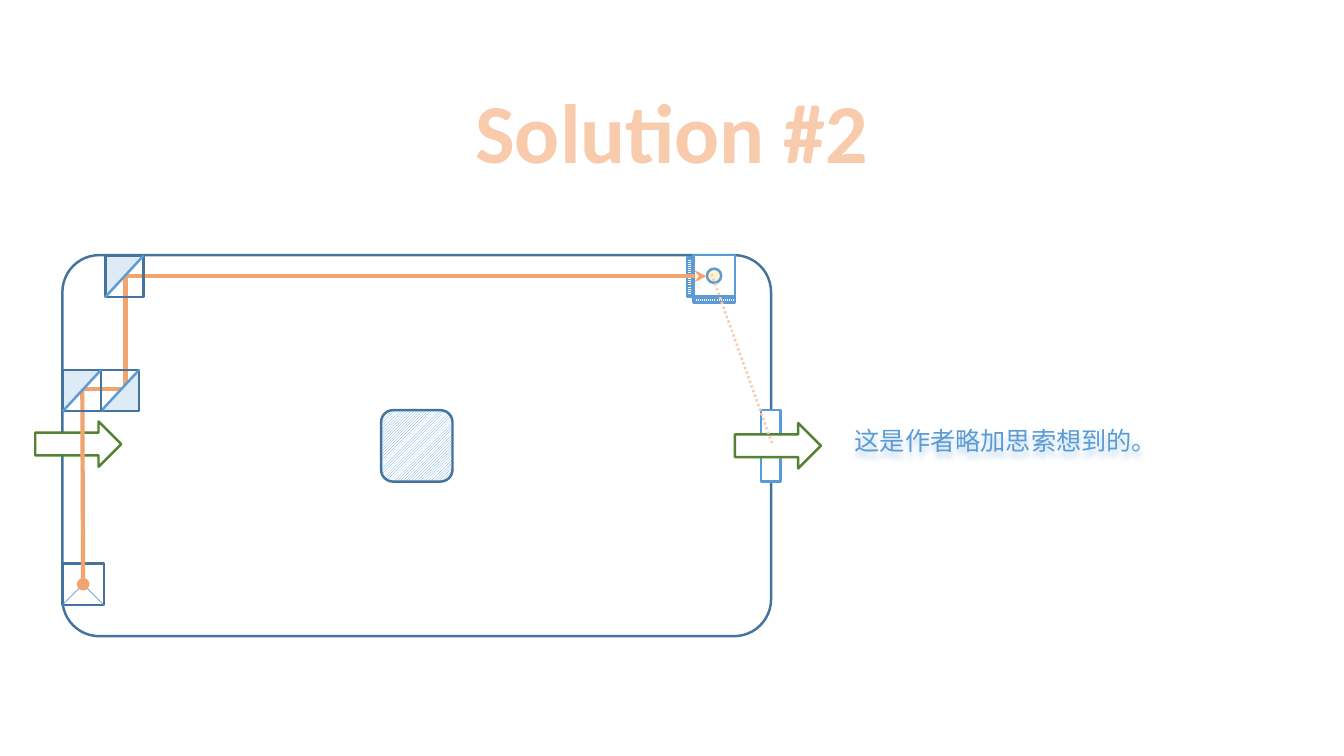
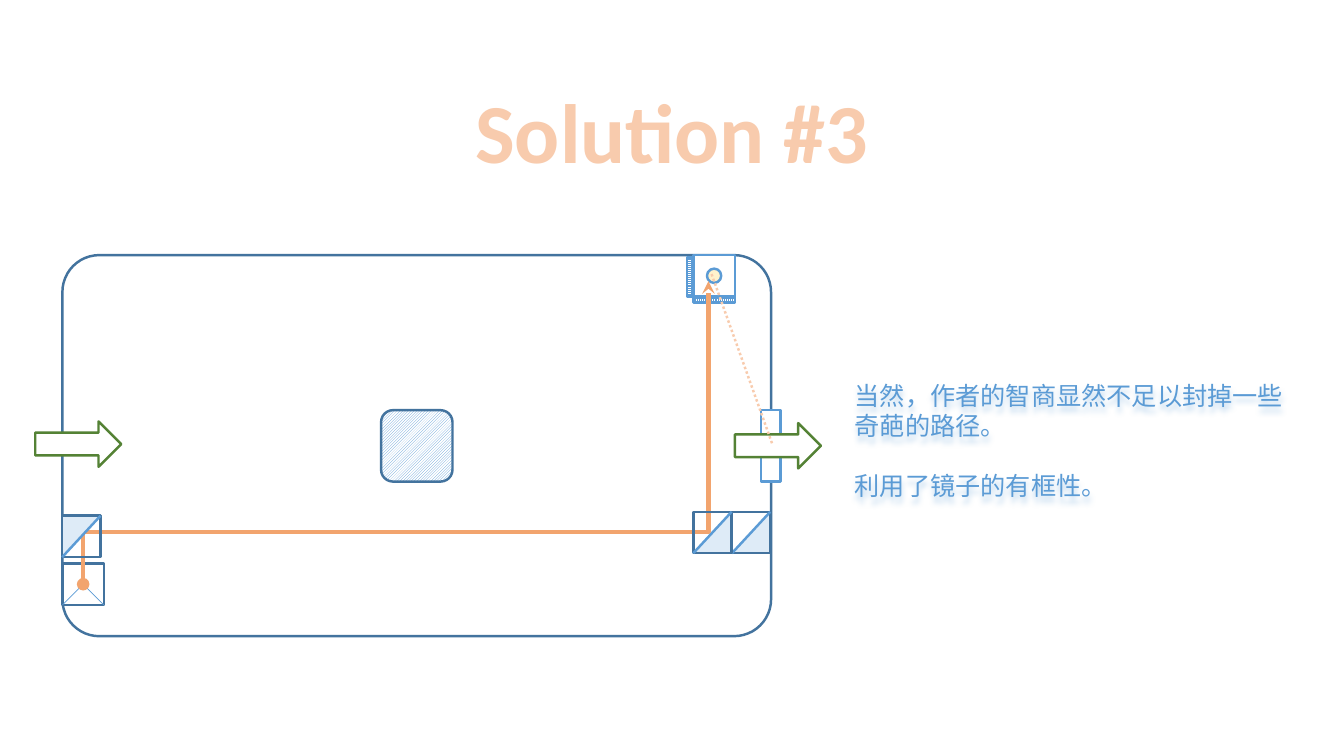
from lxml import etree
from pptx import Presentation
from pptx.dml.color import RGBColor
from pptx.enum.dml import MSO_LINE, MSO_PATTERN
from pptx.enum.shapes import MSO_CONNECTOR, MSO_SHAPE
from pptx.enum.text import MSO_ANCHOR, PP_ALIGN
from pptx.oxml import parse_xml
from pptx.oxml.ns import nsdecls, qn
from pptx.util import Pt

RECT, ROUNDED = MSO_SHAPE.RECTANGLE, MSO_SHAPE.ROUNDED_RECTANGLE
OVAL, RIGHT_ARROW = MSO_SHAPE.OVAL, MSO_SHAPE.RIGHT_ARROW
STRAIGHT, ELBOW = MSO_CONNECTOR.STRAIGHT, MSO_CONNECTOR.ELBOW
DIAGONAL = MSO_PATTERN.LIGHT_UPWARD_DIAGONAL
HORIZONTAL = MSO_PATTERN.LIGHT_HORIZONTAL
VERTICAL = MSO_PATTERN.LIGHT_VERTICAL
DOTTED = MSO_LINE.ROUND_DOT
LEFT, CENTER = PP_ALIGN.LEFT, PP_ALIGN.CENTER
MIDDLE, BOTTOM = MSO_ANCHOR.MIDDLE, MSO_ANCHOR.BOTTOM

WHITE = RGBColor(0xFF, 0xFF, 0xFF)
BLUE = RGBColor(0x5B, 0x9B, 0xD5)
DARK_BLUE = RGBColor(0x43, 0x73, 0x9E)
PALE_BLUE = RGBColor(0xDE, 0xEB, 0xF7)
SHADOW_BLUE = RGBColor(0xBD, 0xD7, 0xEE)
GREEN = RGBColor(0x54, 0x82, 0x35)
CREAM = RGBColor(0xFF, 0xF2, 0xCC)
PEACH = RGBColor(0xF8, 0xCB, 0xAD)
ORANGE = RGBColor(0xED, 0x7D, 0x31)
BEAM = RGBColor(0xF2, 0xA4, 0x6E)

OUTLINE = 1.75
BEAM_WIDTH = 3
MIRROR_WIDTH, MIRROR_HEIGHT = 27.4, 29.6
CELL = 29.6
PARAGRAPH_GAP = 21.5
TITLE_FONT = {"name": "Calibri", "size": Pt(60), "bold": True}
NOTE_FONT = {"name": "Calibri", "size": Pt(18)}
TITLE_FRAME = {"word_wrap": True, "vertical_anchor": BOTTOM}
NOTE_FRAME = {"word_wrap": True, "vertical_anchor": MIDDLE}


def apply(target, values):
    for name, value in values.items():
        setattr(target, name, value)


def add_box(slide, kind, box, fill=None, line=None, pattern=None):
    shape = slide.shapes.add_shape(kind, *map(Pt, box))
    shape.shadow.inherit = False
    if pattern is not None:
        shape.fill.patterned()
        shape.fill.pattern = pattern
        shape.fill.fore_color.rgb = BLUE
        shape.fill.back_color.rgb = WHITE
    elif fill is not None:
        shape.fill.solid()
        shape.fill.fore_color.rgb = fill
    else:
        shape.fill.background()
    if line is None:
        shape.line.fill.background()
    else:
        shape.line.color.rgb = line
        shape.line.width = Pt(OUTLINE)
    return shape


def add_line(slide, start, end, color, width, kind=STRAIGHT, head=None, tail=None, dash=None):
    line = slide.shapes.add_connector(kind, *map(Pt, (*start, *end)))
    line.line.color.rgb = color
    line.line.width = Pt(width)
    if dash is not None:
        line.line.dash_style = dash
    stroke = line.line._get_or_add_ln()
    for tag, arrow in (("a:headEnd", head), ("a:tailEnd", tail)):
        if arrow:
            etree.SubElement(stroke, qn(tag), type=arrow)
    etree.SubElement(line._element.spPr, qn("a:effectLst"))
    return line


def add_elbow_beam(slide, start, end, bend, starts_vertical=False):
    if starts_vertical:
        center_x, center_y = ((a + b) / 2 for a, b in zip(start, end))
        across, along = start[0] - center_x, start[1] - center_y
        start = (center_x + along, center_y - across)
        end = (center_x - along, center_y + across)
    beam = add_line(slide, start, end, BEAM, BEAM_WIDTH, ELBOW, tail="stealth")
    properties = beam._element.spPr
    if starts_vertical:
        properties.find(qn("a:xfrm")).set("rot", "5400000")
    guides = properties.find(qn("a:prstGeom")).get_or_add_avLst()
    etree.SubElement(guides, qn("a:gd"), name="adj1", fmla=f"val {round(bend * 100000)}")


def add_mirror(slide, left, top, glass):
    right, bottom = left + MIRROR_WIDTH, top + MIRROR_HEIGHT
    low_left, high_right = (left, bottom), (right, top)
    corner = (left, top) if glass == "upper" else (right, bottom)
    outline = slide.shapes.build_freeform(*map(Pt, corner))
    outline.add_line_segments([tuple(map(Pt, point)) for point in (low_left, high_right)])
    pane = outline.convert_to_shape()
    pane.shadow.inherit = False
    pane.fill.solid()
    pane.fill.fore_color.rgb = PALE_BLUE
    pane.line.fill.background()
    add_box(slide, RECT, (left, top, MIRROR_WIDTH, MIRROR_HEIGHT), line=DARK_BLUE)
    add_line(slide, low_left, high_right, BLUE, OUTLINE)


def write_text(paragraph, text, font, color, alignment):
    paragraph.alignment = alignment
    run = paragraph.add_run()
    run.text = text
    apply(run.font, font)
    run.font.color.rgb = color
    return run


def add_title(slide, text):
    title = slide.shapes.add_textbox(*map(Pt, (66, 29, 828, 104.4)))
    apply(title.text_frame, TITLE_FRAME)
    paragraph = title.text_frame.paragraphs[0]
    paragraph.line_spacing = 0.9
    run = write_text(paragraph, text, TITLE_FONT, PEACH, CENTER)
    run._r.get_or_add_rPr().insert(0, parse_xml(
        f'<a:ln {nsdecls("a")} w="{Pt(OUTLINE)}"><a:solidFill>'
        f'<a:srgbClr val="{ORANGE}"/></a:solidFill></a:ln>'))


def add_note(slide, paragraphs):
    note = add_box(slide, RECT, (603.4, 133.2, 337.7, 362.9))
    effects = note._element.spPr.find(qn("a:effectLst"))
    effects.append(parse_xml(
        f'<a:outerShdw {nsdecls("a")} blurRad="{Pt(4)}" dist="{Pt(4)}" dir="5400000" '
        f'algn="t" rotWithShape="0"><a:srgbClr val="{SHADOW_BLUE}"/></a:outerShdw>'))
    frame = note.text_frame
    apply(frame, NOTE_FRAME)
    for index, text in enumerate(paragraphs):
        paragraph = frame.add_paragraph() if index else frame.paragraphs[0]
        if index:
            paragraph.space_before = Pt(PARAGRAPH_GAP)
        write_text(paragraph, text, NOTE_FONT, BLUE, LEFT)


def add_emitter(slide):
    left, top = 44.6, 402.5
    emitter = add_box(slide, RECT, (left, top, CELL, CELL), WHITE, DARK_BLUE)
    middle = (left + CELL / 2, top + CELL / 2)
    for corner_x in (left, left + CELL):
        add_line(slide, middle, (corner_x, top + CELL), BLUE, 0.5)
    return emitter


def add_sensor(slide):
    left, top, eye = 495.3, 182.2, 10.2
    inset = (CELL - eye) / 2
    add_box(slide, RECT, (left, top, CELL, CELL), WHITE, BLUE)
    add_box(slide, OVAL, (left + inset, top + inset, eye, eye), CREAM, BLUE)
    add_box(slide, RECT, (490.6, 184, 4.2, 28), line=BLUE, pattern=HORIZONTAL)
    add_box(slide, RECT, (left, 212.4, CELL, 3.6), line=BLUE, pattern=VERTICAL)


def add_room(slide):
    walls = add_box(slide, ROUNDED, (44.6, 182.2, 506.2, 272.2), line=DARK_BLUE)
    walls.adjustments[0] = 0.097
    add_box(slide, ROUNDED, (272.2, 293, 51, 51), line=DARK_BLUE, pattern=DIAGONAL)
    emitter = add_emitter(slide)
    add_sensor(slide)
    add_box(slide, RECT, (543.5, 293, 14, 51), WHITE, BLUE)
    for left, top in ((25.2, 301), (525, 302.2)):
        add_box(slide, RIGHT_ARROW, (left, top, 61.4, 32.4), WHITE, GREEN)
    add_line(slide, (508.3, 195.8), (552, 318.2), PEACH, OUTLINE, dash=DOTTED)
    return emitter


def add_solution(presentation, title, note):
    slide = presentation.slides.add_slide(presentation.slide_layouts[6])
    emitter = add_room(slide)
    add_title(slide, title)
    add_note(slide, note)
    return slide, emitter


def main():
    presentation = Presentation()
    presentation.slide_width, presentation.slide_height = Pt(960), Pt(540)
    source = (59.4, 417.3)

    slide, emitter = add_solution(presentation, "Solution #2", ["这是作者略加思索想到的。"])
    add_elbow_beam(slide, (57, 278), (504.7, 197.3), 0.073)
    add_line(slide, source, (58.8, 278), BEAM, BEAM_WIDTH, head="oval")
    for mirror in ((72, 264.2, "lower"), (75.2, 182.6, "upper"), (44.8, 264.2, "upper")):
        add_mirror(slide, *mirror)

    slide, emitter = add_solution(presentation, "Solution #3", [
        "当然，作者的智商显然不足以封掉一些奇葩的路径。", "利用了镜子的有框性。"])
    add_elbow_beam(slide, (59.4, 402.5), (506, 200.9), 0.11, starts_vertical=True)
    ray = add_line(slide, source, (59.4, 402.5), BEAM, BEAM_WIDTH, head="oval")
    ray.end_connect(emitter, 0)
    for mirror in ((522.8, 365.6, "lower"), (495.2, 365.6, "lower"), (44.4, 368.4, "upper")):
        add_mirror(slide, *mirror)

    presentation.save("out.pptx")


if __name__ == "__main__":
    main()
